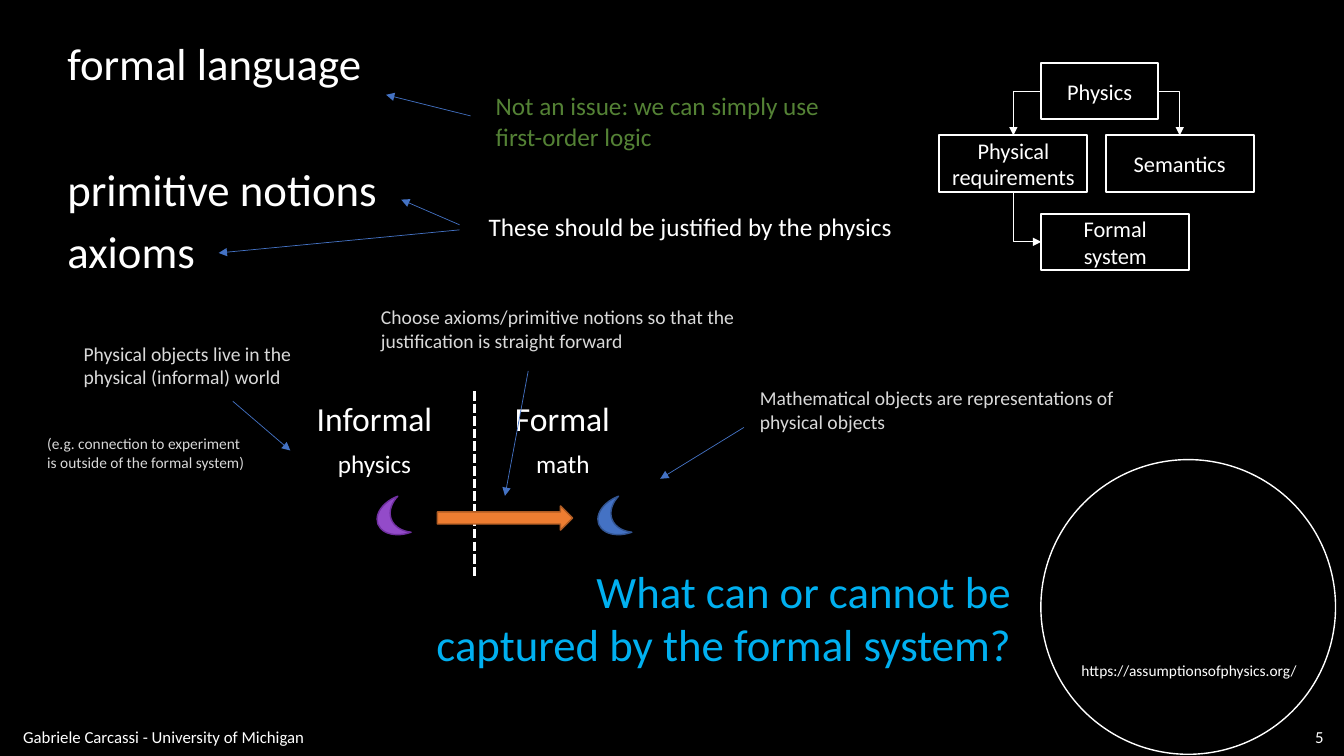
from dataclasses import dataclass

from lxml.etree import SubElement
from pptx import Presentation
from pptx.dml.color import RGBColor
from pptx.enum.dml import MSO_LINE
from pptx.enum.shapes import MSO_CONNECTOR, MSO_SHAPE
from pptx.enum.text import MSO_ANCHOR, MSO_AUTO_SIZE, PP_ALIGN
from pptx.oxml.ns import qn
from pptx.util import Pt


@dataclass(frozen=True)
class Theme:
    font: str = "Calibri"
    background: str = "000000"
    white: str = "FFFFFF"
    grey: str = "D9D9D9"
    green: str = "548235"
    sky: str = "00B0F0"
    blue: str = "4472C4"
    blue_edge: str = "325491"
    orange: str = "ED7D31"
    orange_edge: str = "AF5C24"
    purple: str = "934BC9"
    purple_edge: str = "7030A0"
    headline: int = 32
    heading: int = 24
    body: int = 18
    box: int = 16
    note: int = 14
    footer: int = 12
    small: int = 11


class SlideBuilder:
    """Draws styled elements on one slide; all lengths are in points."""

    def __init__(self, slide, theme):
        self.slide = slide
        self.theme = theme
        slide.background.fill.solid()
        slide.background.fill.fore_color.rgb = RGBColor.from_string(theme.background)

    def add_runs(self, frame, content, size, color, align):
        paragraph = frame.paragraphs[0]
        paragraph.alignment = align
        for index, part in enumerate(content.split("\n")):
            if index:
                paragraph.add_line_break()
            run = paragraph.add_run()
            run.text = part
            run.font.name = self.theme.font
            run.font.size = Pt(size)
            run.font.color.rgb = RGBColor.from_string(color)

    def text(self, at, content, size, color=None, align=PP_ALIGN.LEFT, wrap=True):
        frame = self.slide.shapes.add_textbox(*map(Pt, at)).text_frame
        frame.word_wrap = wrap
        frame.auto_size = MSO_AUTO_SIZE.SHAPE_TO_FIT_TEXT
        self.add_runs(frame, content, size, color or self.theme.white, align)
        return frame

    def footer(self, at, content, align=PP_ALIGN.LEFT):
        frame = self.text(at, content, self.theme.footer, align=align)
        frame.auto_size = MSO_AUTO_SIZE.NONE
        frame.vertical_anchor = MSO_ANCHOR.MIDDLE

    def shape(self, kind, at, fill, edge, width=1, rotation=0):
        shape = self.slide.shapes.add_shape(kind, *map(Pt, at))
        shape.shadow.inherit = False
        shape.rotation = rotation
        if fill:
            shape.fill.solid()
            shape.fill.fore_color.rgb = RGBColor.from_string(fill)
        else:
            shape.fill.background()
        self.stroke(shape.line, edge, width)
        return shape

    def box(self, at, content):
        theme = self.theme
        shape = self.shape(MSO_SHAPE.RECTANGLE, at, theme.background, theme.white, 1.5)
        shape.text_frame.word_wrap = True
        shape.text_frame.vertical_anchor = MSO_ANCHOR.MIDDLE
        self.add_runs(shape.text_frame, content, theme.box, theme.white, PP_ALIGN.CENTER)
        return shape

    def stroke(self, line, color, width):
        line.color.rgb = RGBColor.from_string(color)
        line.width = Pt(width)

    def line(self, start, end, color, width, kind=MSO_CONNECTOR.STRAIGHT):
        line = self.slide.shapes.add_connector(kind, *map(Pt, start + end))
        self.stroke(line.line, color, width)
        SubElement(line._element.spPr, qn("a:effectLst"))
        return line

    def arrowhead(self, line, end="a:tailEnd"):
        outline = line._element.spPr.find(qn("a:ln"))
        SubElement(outline, qn(end)).set("type", "triangle")

    def arrow(self, start, end):
        self.arrowhead(self.line(start, end, self.theme.blue, 0.5))

    def elbow(self, begin, begin_site, end, end_site, head):
        """One-corner connector, leaving its first box horizontally."""
        elbow = self.line((0, 0), (0, 0), self.theme.white, 0.5, MSO_CONNECTOR.ELBOW)
        elbow._element.spPr.find(qn("a:prstGeom")).set("prst", "bentConnector2")
        elbow.begin_connect(begin, begin_site)
        elbow.end_connect(end, end_site)
        self.arrowhead(elbow, head)


def main():
    deck = Presentation()
    deck.slide_width, deck.slide_height = Pt(960), Pt(540)
    theme = Theme()
    page = SlideBuilder(deck.slides.add_slide(deck.slide_layouts[6]), theme)

    # Site badge and footer
    page.shape(MSO_SHAPE.OVAL, (743.5, 328.3, 210.5, 210.5), None, theme.white)
    page.text((765.4, 468.7, 169.2, 20.6), "https://assumptionsofphysics.org/",
              theme.small, wrap=False)
    page.footer((9.4, 517, 470, 18.7), "Gabriele Carcassi - University of Michigan")
    page.footer((908.6, 517.5, 44, 18), "5", PP_ALIGN.RIGHT)

    # Ingredients of a formal system
    for y, width, ingredient in ((21.6, 226.8, "formal language"),
                                 (112.1, 238.3, "primitive notions"),
                                 (156.2, 106.6, "axioms")):
        page.text((41, y, width, 46), ingredient, theme.headline, wrap=False)

    # Remarks on the ingredients
    page.text((347, 61.2, 265, 50.9),
              "Not an issue: we can simply use first-order logic", theme.body, theme.green)
    page.text((342, 147.6, 309, 29), "These should be justified by the physics", theme.body)

    # Physics hierarchy
    physics = page.box((743.8, 44.9, 83.3, 40.3), "Physics")
    formal_system = page.box((743.8, 152.6, 105.8, 40.3), "Formal system")
    requirements = page.box((671, 96.7, 105.8, 40.3), "Physical requirements")
    semantics = page.box((789.8, 96.7, 105.8, 40.3), "Semantics")
    top, left, bottom, right = range(4)
    page.elbow(physics, left, requirements, top, "a:tailEnd")
    page.elbow(physics, right, semantics, top, "a:tailEnd")
    page.elbow(formal_system, left, requirements, bottom, "a:headEnd")

    # Informal and formal sides
    for x, width, size, y, height, label in (
            (218.9, 97.2, theme.heading, 280.8, 36, "Informal"),
            (360.7, 82.1, theme.heading, 280.8, 36, "Formal"),
            (234, 67, theme.body, 316.8, 29, "physics"),
            (375.8, 52.6, theme.body, 316.8, 29, "math")):
        page.text((x, y, width, height), label, size, align=PP_ALIGN.CENTER, wrap=False)
    divider = page.line((339.1, 279.4), (339.1, 411.1), theme.white, 2.25)
    divider.line.dash_style = MSO_LINE.SQUARE_DOT

    # Mapping of physical objects to mathematical objects
    for x, fill, edge in ((427, theme.blue, theme.blue_edge),
                          (269.3, theme.purple, theme.purple_edge)):
        page.shape(MSO_SHAPE.MOON, (x, 357.1, 20.2, 27.4), fill, edge, rotation=339.7)
    page.shape(MSO_SHAPE.RIGHT_ARROW, (312.5, 361.4, 96.5, 17.3),
               theme.orange, theme.orange_edge)

    # Notes around the mapping
    page.text((52.6, 240.5, 164.2, 41),
              "Physical objects live in the\nphysical (informal) world",
              theme.note, theme.grey, wrap=False)
    page.text((26.6, 306.7, 157.7, 33.8),
              "(e.g. connection to experiment is outside of the formal system)",
              theme.small, theme.grey)
    page.text((535.7, 272.2, 270, 41),
              "Mathematical objects are representations of physical objects",
              theme.note, theme.grey)
    page.text((265, 214.6, 308.9, 41),
              "Choose axioms/primitive notions so that the justification is straight forward",
              theme.note, theme.grey)

    # Arrows from remarks and notes to their subjects
    for start, end in (((336.2, 82.8), (275.8, 67.7)),
                       ((328.3, 164.2), (156.2, 180.7)),
                       ((328.3, 160.6), (286.6, 142.6)),
                       ((166.3, 286.6), (207.4, 321.8)),
                       ((531.4, 305.3), (471.6, 342)),
                       ((377.3, 265), (360.7, 354.2))):
        page.arrow(start, end)

    # Closing question
    page.text((301, 398.9, 428.4, 85), "What can or cannot be captured by the formal system?",
              theme.headline, theme.sky, PP_ALIGN.RIGHT)

    deck.save("out.pptx")


if __name__ == "__main__":
    main()
